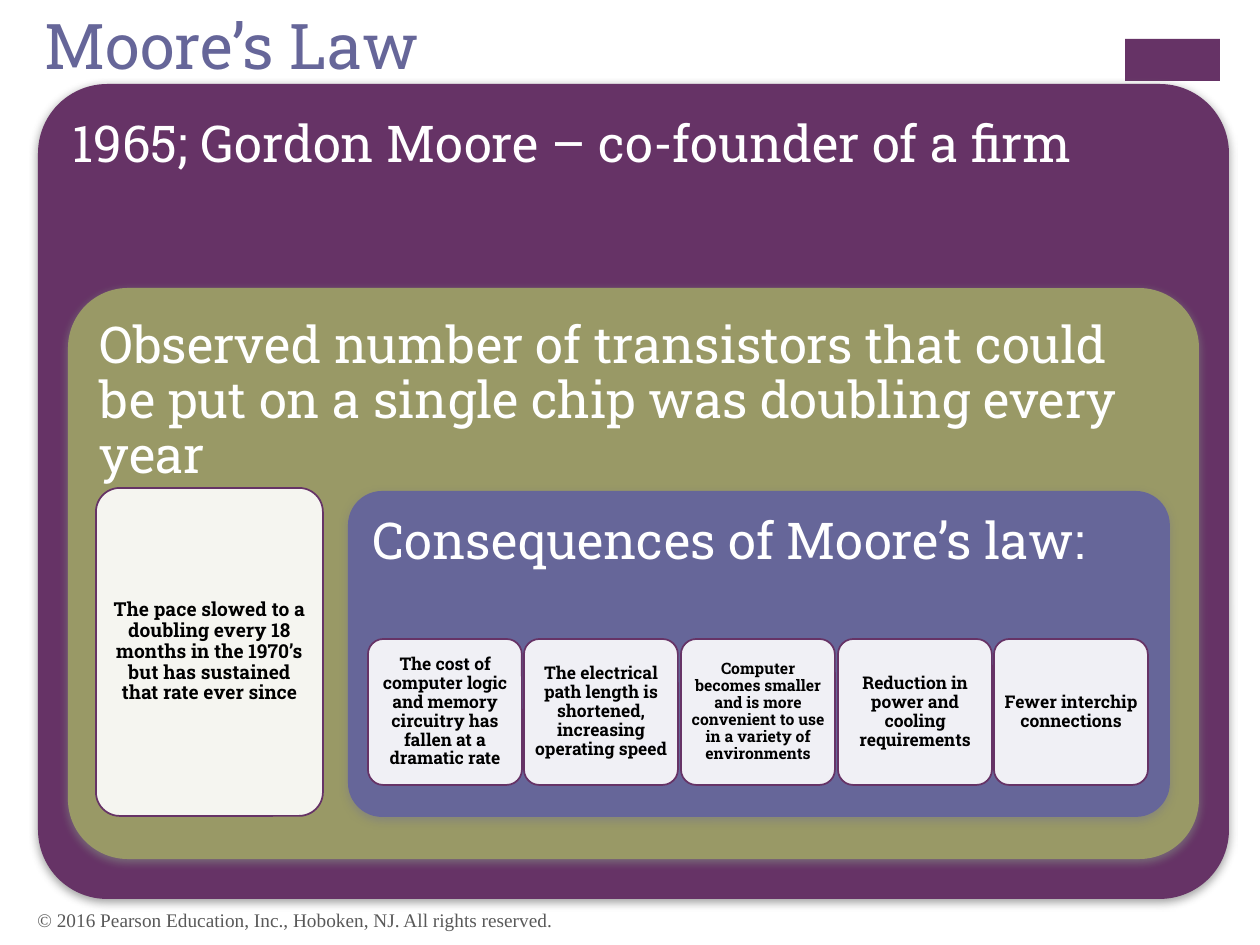
from dataclasses import dataclass

import pptx
import pptx.dml.color
import pptx.enum.shapes
import pptx.enum.text
import pptx.oxml
import pptx.oxml.ns
import pptx.util
from lxml import etree

RGBColor = pptx.dml.color.RGBColor
MSO_SHAPE = pptx.enum.shapes.MSO_SHAPE
MSO_ANCHOR = pptx.enum.text.MSO_ANCHOR
PP_ALIGN = pptx.enum.text.PP_ALIGN
qn = pptx.oxml.ns.qn

PX_PER_INCH = 126
SLAB = "Roboto Slab"
PLUM = RGBColor(0x66, 0x33, 0x66)
OLIVE = RGBColor(0x99, 0x99, 0x66)
INDIGO = RGBColor(0x66, 0x66, 0x99)
WHITE = RGBColor(0xFF, 0xFF, 0xFF)
BLACK = RGBColor(0x00, 0x00, 0x00)
GRAY = RGBColor(0x59, 0x59, 0x59)

CORNER_INSET = 0.29  # share of the corner radius that text keeps clear of


@dataclass(frozen=True)
class Box:
    left: int
    top: int
    width: int
    height: int

    def emu(self) -> list[int]:
        return [px(v) for v in (self.left, self.top, self.width, self.height)]

    def inset(self, margin: int) -> "Box":
        return Box(self.left + margin, self.top + margin,
                   self.width - 2 * margin, self.height - 2 * margin)


@dataclass(frozen=True)
class Panel:
    heading: str
    box: Box
    color: RGBColor
    rounding: float = 0.105


@dataclass(frozen=True)
class Card:
    statement: str
    box: Box
    size: int
    padding: int = 5


PANELS = [
    Panel("1965; Gordon Moore – co-founder of a firm",
          Box(38, 84, 1191, 815), PLUM, 0.085),
    Panel("Observed number of transistors that could be put on a single chip "
          "was doubling every year", Box(68, 288, 1131, 571), OLIVE),
    Panel("Consequences of Moore’s law:", Box(348, 491, 822, 326), INDIGO),
]

PACE = Card("The pace slowed to a doubling every 18 months in the 1970’s "
            "but has sustained that rate ever since",
            Box(96, 488, 227, 328), 11, 6)

CONSEQUENCES = [
    ("The cost of computer logic and memory circuitry has fallen "
     "at a dramatic rate", 10),
    ("The electrical path length is shortened, increasing operating speed", 10),
    ("Computer becomes smaller and is more convenient to use "
     "in a variety of environments", 9),
    ("Reduction in power and cooling requirements", 10),
    ("Fewer interchip connections", 10),
]
FIRST_LEFT, LAST_LEFT = 368, 994


def px(length: int) -> pptx.util.Emu:
    return pptx.util.Emu(round(length * 914400 / PX_PER_INCH))


def add_text(slide, text: str, box: Box, *, size: int, color: RGBColor,
             font: str = SLAB, bold: bool = False, align=PP_ALIGN.LEFT,
             anchor=MSO_ANCHOR.TOP, padding: int | None = None,
             spacing: float = 1.0) -> None:
    frame = slide.shapes.add_textbox(*box.emu()).text_frame
    frame.word_wrap = True
    frame.vertical_anchor = anchor
    if padding is not None:
        frame.margin_left = frame.margin_right = px(padding)
        frame.margin_top = frame.margin_bottom = px(padding)
    paragraph = frame.paragraphs[0]
    paragraph.alignment = align
    paragraph.line_spacing = spacing
    run = paragraph.add_run()
    run.text = text
    run.font.name = font
    run.font.size = pptx.util.Pt(size)
    run.font.bold = bold
    run.font.color.rgb = color


def add_block(slide, kind, box: Box, color: RGBColor):
    block = slide.shapes.add_shape(kind, *box.emu())
    block.shadow.inherit = False
    block.fill.solid()
    block.fill.fore_color.rgb = color
    block.line.fill.background()
    return block


def add_rounded(slide, box: Box, color: RGBColor, rounding: float = 0.105):
    """Draw a rounded block; return it and the area clear of its corners."""
    block = add_block(slide, MSO_SHAPE.ROUNDED_RECTANGLE, box, color)
    block.adjustments[0] = rounding
    margin = round(rounding * min(box.width, box.height) * CORNER_INSET)
    return block, box.inset(margin)


def set_alpha(color_element, percent: int) -> None:
    etree.SubElement(color_element, qn("a:alpha"), val=str(percent * 1000))


def cast_shadow(block) -> None:
    effects = block._element.spPr.find(qn("a:effectLst"))
    shadow = etree.SubElement(
        effects, qn("a:outerShdw"), blurRad=str(pptx.util.Pt(5)),
        dist=str(pptx.util.Pt(2)), dir="5400000", rotWithShape="0")
    set_alpha(etree.SubElement(shadow, qn("a:srgbClr"), val="808080"), 75)


def add_panel(slide, panel: Panel) -> None:
    block, text_area = add_rounded(slide, panel.box, panel.color,
                                   panel.rounding)
    cast_shadow(block)
    add_text(slide, panel.heading, text_area, size=29, color=WHITE,
             padding=15, spacing=0.9)


def add_card(slide, card: Card) -> None:
    block, text_area = add_rounded(slide, card.box, WHITE)
    set_alpha(block._element.spPr.find(qn("a:solidFill"))[0], 90)
    block.line.color.rgb = PLUM
    block.line.width = pptx.util.Pt(1)
    add_text(slide, card.statement, text_area, size=card.size, color=BLACK,
             bold=True, align=PP_ALIGN.CENTER, anchor=MSO_ANCHOR.MIDDLE,
             padding=card.padding, spacing=0.9)


def main() -> None:
    deck = pptx.Presentation()
    deck.slide_width, deck.slide_height = px(1260), px(945)
    slide = deck.slides.add_slide(deck.slide_layouts[6])

    add_block(slide, MSO_SHAPE.RECTANGLE, Box(1125, 39, 95, 42), PLUM)
    add_text(slide, "Moore’s Law", Box(32, 0, 420, 136), size=36, color=INDIGO)

    founding, observation, consequences = PANELS
    add_panel(slide, founding)
    add_panel(slide, observation)
    add_card(slide, PACE)
    add_panel(slide, consequences)

    pitch = (LAST_LEFT - FIRST_LEFT) / (len(CONSEQUENCES) - 1)
    for i, (statement, size) in enumerate(CONSEQUENCES):
        left = FIRST_LEFT + round(i * pitch)
        add_card(slide, Card(statement, Box(left, 639, 154, 146), size))

    add_text(slide,
             "© 2016 Pearson Education, Inc., Hoboken, NJ. All rights reserved.",
             Box(25, 895, 844, 50), size=11, color=GRAY,
             font="Times New Roman", anchor=MSO_ANCHOR.MIDDLE)
    deck.save("out.pptx")


if __name__ == "__main__":
    main()
